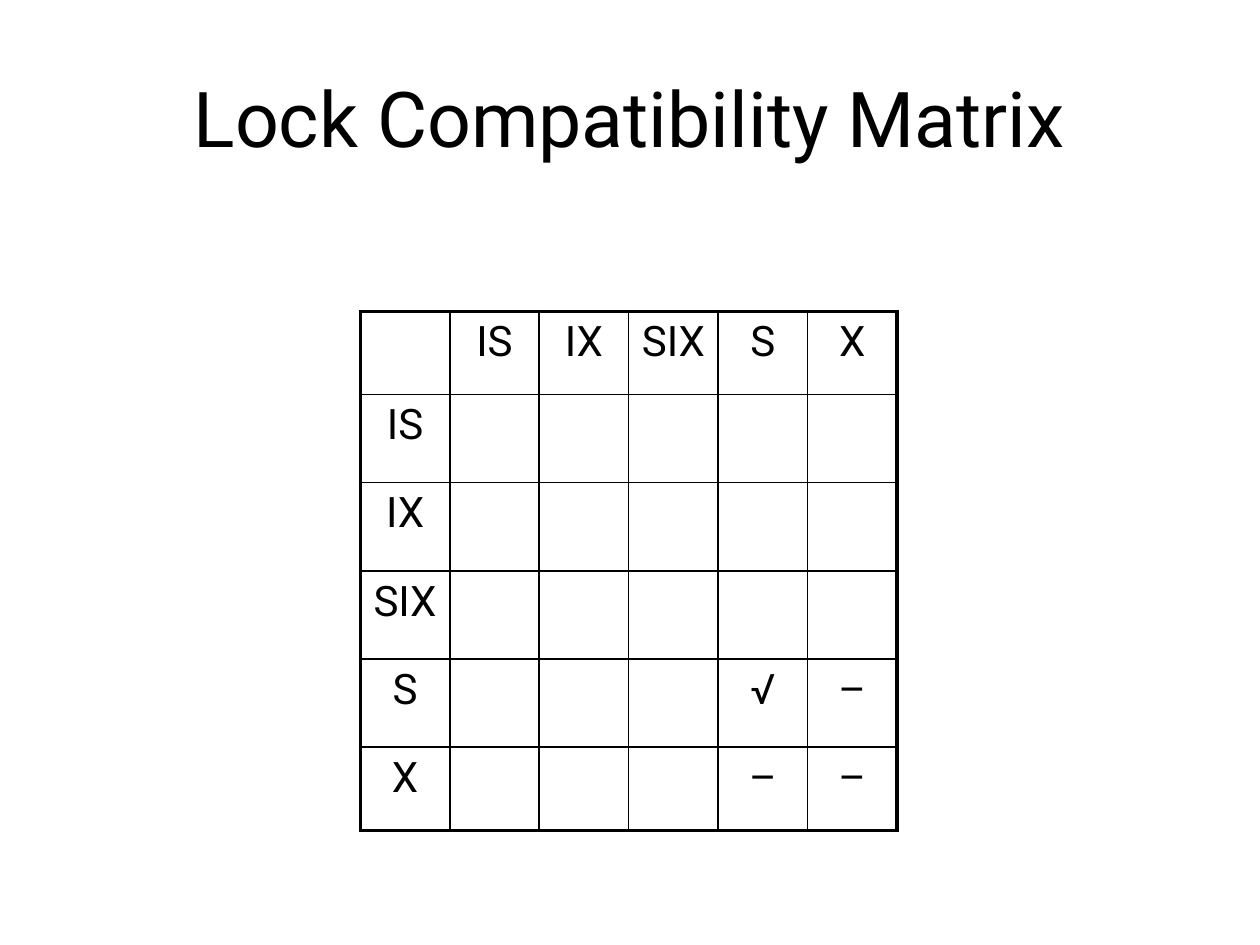
from dataclasses import dataclass

from lxml import etree
from pptx import Presentation
from pptx.dml.color import RGBColor
from pptx.enum.text import MSO_ANCHOR, PP_ALIGN
from pptx.oxml.ns import qn
from pptx.util import Inches, Pt


@dataclass(frozen=True)
class Theme:
    """Colours, font, type sizes and line widths of the slide."""
    ink: str = "000000"
    paper: str = "FFFFFF"
    font: str = "Roboto"
    title_size: int = 44
    cell_size: int = 24
    inner_line: float = 1
    outer_line: float = 2.25


theme = Theme()


def write_centred(frame, text, size):
    """Put one centred line of text in a frame and return its paragraph."""
    paragraph = frame.paragraphs[0]
    paragraph.alignment = PP_ALIGN.CENTER
    run = paragraph.add_run()
    run.text = text
    run.font.name = theme.font
    run.font.size = Pt(size)
    run.font.color.rgb = RGBColor.from_string(theme.ink)
    return paragraph


def set_border(cell, side, width):
    """Draw one side (L, R, T or B) of a table cell, ahead of its fill."""
    properties = cell._tc.get_or_add_tcPr()
    line = etree.Element(qn(f"a:ln{side}"), w=str(Pt(width)))
    fill = etree.SubElement(line, qn("a:solidFill"))
    etree.SubElement(fill, qn("a:srgbClr"), val=theme.ink)
    properties.insert("LRTB".index(side), line)


prs = Presentation()
prs.slide_width, prs.slide_height = Inches(10), Inches(7.5)
slide = prs.slides.add_slide(prs.slide_layouts[5])
slide.background.fill.solid()
slide.background.fill.fore_color.rgb = RGBColor.from_string(theme.paper)

title = slide.shapes.title
title.left, title.top = int(prs.slide_width * 0.05), int(prs.slide_height * 0.04)
title.width, title.height = int(prs.slide_width * 0.9), Inches(1.25)
title.text_frame.vertical_anchor = MSO_ANCHOR.MIDDLE
write_centred(title.text_frame, "Lock Compatibility Matrix", theme.title_size)

# Both axes list the lock modes; only the S and X pairs are filled in.
modes = ["IS", "IX", "SIX", "S", "X"]
compatibility = {("S", "S"): "√", ("S", "X"): "–", ("X", "S"): "–", ("X", "X"): "–"}
matrix = [[""] + modes]
for held in modes:
    matrix.append([held] + [compatibility.get((held, asked), "") for asked in modes])

count = len(matrix)
last = count - 1
column_width = Inches(0.71)
row_heights = [Inches(0.66 if r in (0, last) else 0.7) for r in range(count)]
table_shape = slide.shapes.add_table(
    count, count, Inches(2.86), Inches(2.47), column_width * count, sum(row_heights))
table = table_shape.table
table.first_row = table.horz_banding = False

for column in table.columns:
    column.width = column_width

for r, labels in enumerate(matrix):
    table.rows[r].height = row_heights[r]
    for c, label in enumerate(labels):
        cell = table.cell(r, c)
        cell.fill.background()
        outer_sides = {"L": c == 0, "R": c == last, "T": r == 0, "B": r == last}
        for side, is_outer in outer_sides.items():
            set_border(cell, side, theme.outer_line if is_outer else theme.inner_line)
        if label:
            paragraph = write_centred(cell.text_frame, label, theme.cell_size)
            space = etree.SubElement(paragraph._p.get_or_add_pPr(), qn("a:spcBef"))
            etree.SubElement(space, qn("a:spcPct"), val="20000")

prs.save("out.pptx")
